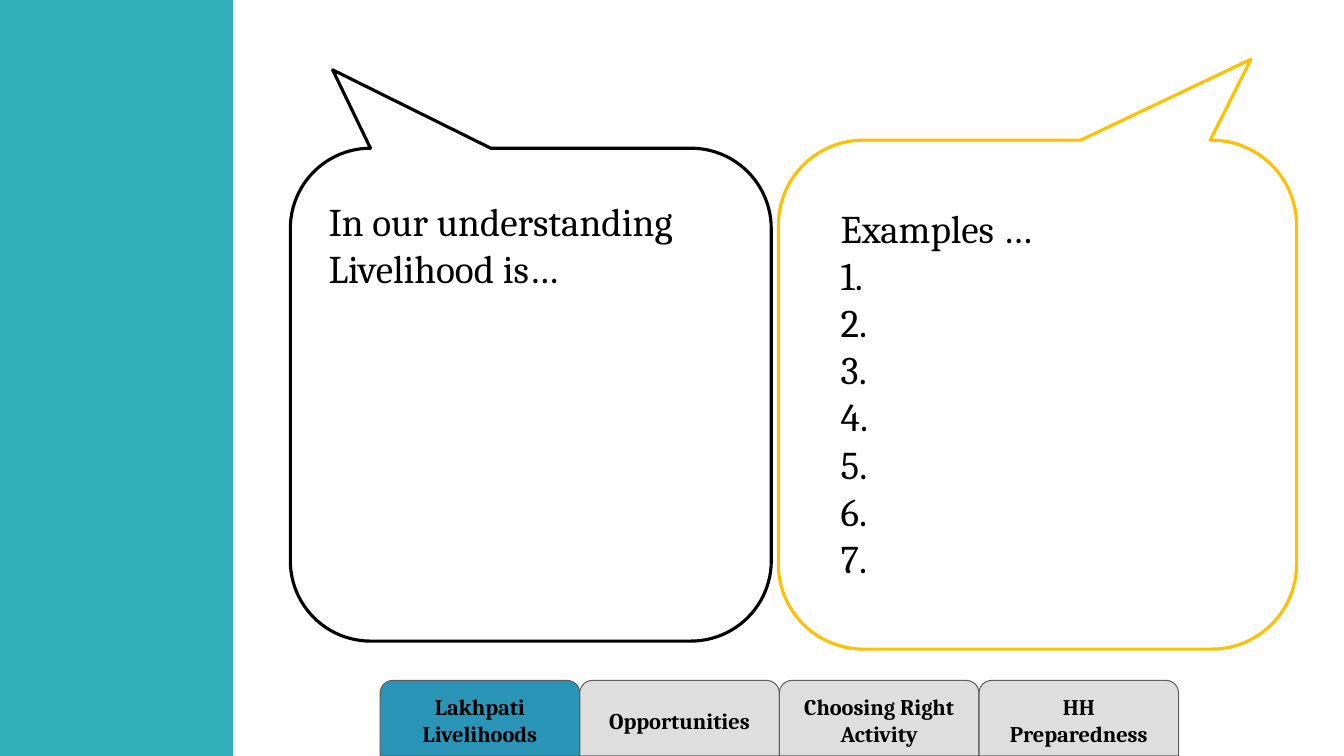
from pptx import Presentation
from pptx.dml.color import RGBColor
from pptx.enum.shapes import MSO_SHAPE as Shape
from pptx.enum.text import MSO_ANCHOR as Anchor, PP_ALIGN as Align
from pptx.util import Inches, Pt

FONT = "Cambria"
COLORS = {
    "teal": "32AEB8",
    "black": "000000",
    "amber": "FFC000",
    "active": "2A95B7",
    "inactive": "DEDEDE",
    "border": "5E5E5E",
}
TABS = ["Lakhpati Livelihoods", "Opportunities", "Choosing Right Activity", "HH Preparedness"]
TAB_LEFT, TAB_TOP, TAB_WIDTH, TAB_HEIGHT = 3.77, 6.75, 1.98, 0.75


def color(name):
    """Return the named palette colour."""
    return RGBColor.from_string(COLORS[name])


def add_box(page, preset, bounds, fill=None, line=None, weight=0.75):
    """Add a preset shape with an optional fill and outline."""
    box = page.shapes.add_shape(preset, *map(Inches, bounds))
    box.shadow.inherit = False
    if fill:
        box.fill.solid()
        box.fill.fore_color.rgb = color(fill)
    else:
        box.fill.background()
    if line:
        box.line.color.rgb = color(line)
        box.line.width = Pt(weight)
    else:
        box.line.fill.background()
    return box


def add_callout(page, bounds, tail_x, line):
    """Add a rounded speech bubble whose tail points upward."""
    bubble = add_box(page, Shape.ROUNDED_RECTANGULAR_CALLOUT, bounds, line=line, weight=2.25)
    for index, value in enumerate((tail_x, -0.659, 0.167)):
        bubble.adjustments[index] = value


def format_text(frame, size, bold=False, align=Align.LEFT):
    """Apply the slide's font to every run of a text frame."""
    frame.word_wrap = True
    for para in frame.paragraphs:
        para.alignment = align
        for span in para.runs:
            span.font.name = FONT
            span.font.size = Pt(size)
            span.font.bold = bold
            span.font.color.rgb = color("black")


def add_text(page, bounds, lines):
    """Add a text box with one paragraph per line."""
    box = page.shapes.add_textbox(*map(Inches, bounds))
    box.text_frame.text = "\n".join(lines)
    format_text(box.text_frame, 28)


def add_tab(page, index, label):
    """Add one navigation tab, highlighting the first."""
    bounds = (TAB_LEFT + index * TAB_WIDTH, TAB_TOP, TAB_WIDTH, TAB_HEIGHT)
    fill = "inactive" if index else "active"
    tab = add_box(page, Shape.ROUND_2_SAME_RECTANGLE, bounds, fill, "border")
    tab.adjustments[0] = 0.167
    frame = tab.text_frame
    frame.margin_left = frame.margin_right = Inches(0.1)
    frame.margin_top = frame.margin_bottom = Inches(0.1)
    frame.vertical_anchor = Anchor.MIDDLE
    frame.text = label
    format_text(frame, 16, bold=True, align=Align.CENTER)


def main():
    """Build and save the slide."""
    deck = Presentation()
    deck.slide_width, deck.slide_height = Inches(13.33), Inches(7.5)
    page = deck.slides.add_slide(deck.slide_layouts[6])
    add_box(page, Shape.RECTANGLE, (0, 0, 2.31, 7.5), "teal")
    add_callout(page, (2.88, 1.47, 4.77, 4.89), -0.412, "black")
    add_callout(page, (7.72, 1.39, 5.14, 5.05), 0.412, "amber")
    add_text(page, (3.16, 1.91, 4.49, 1.05), ["In our understanding Livelihood is…"])
    numbers = [f"{number}." for number in range(1, 8)]
    add_text(page, (8.24, 1.98, 5.09, 3.87), ["Examples …", *numbers])
    for index, label in enumerate(TABS):
        add_tab(page, index, label)
    deck.save("out.pptx")


if __name__ == "__main__":
    main()
